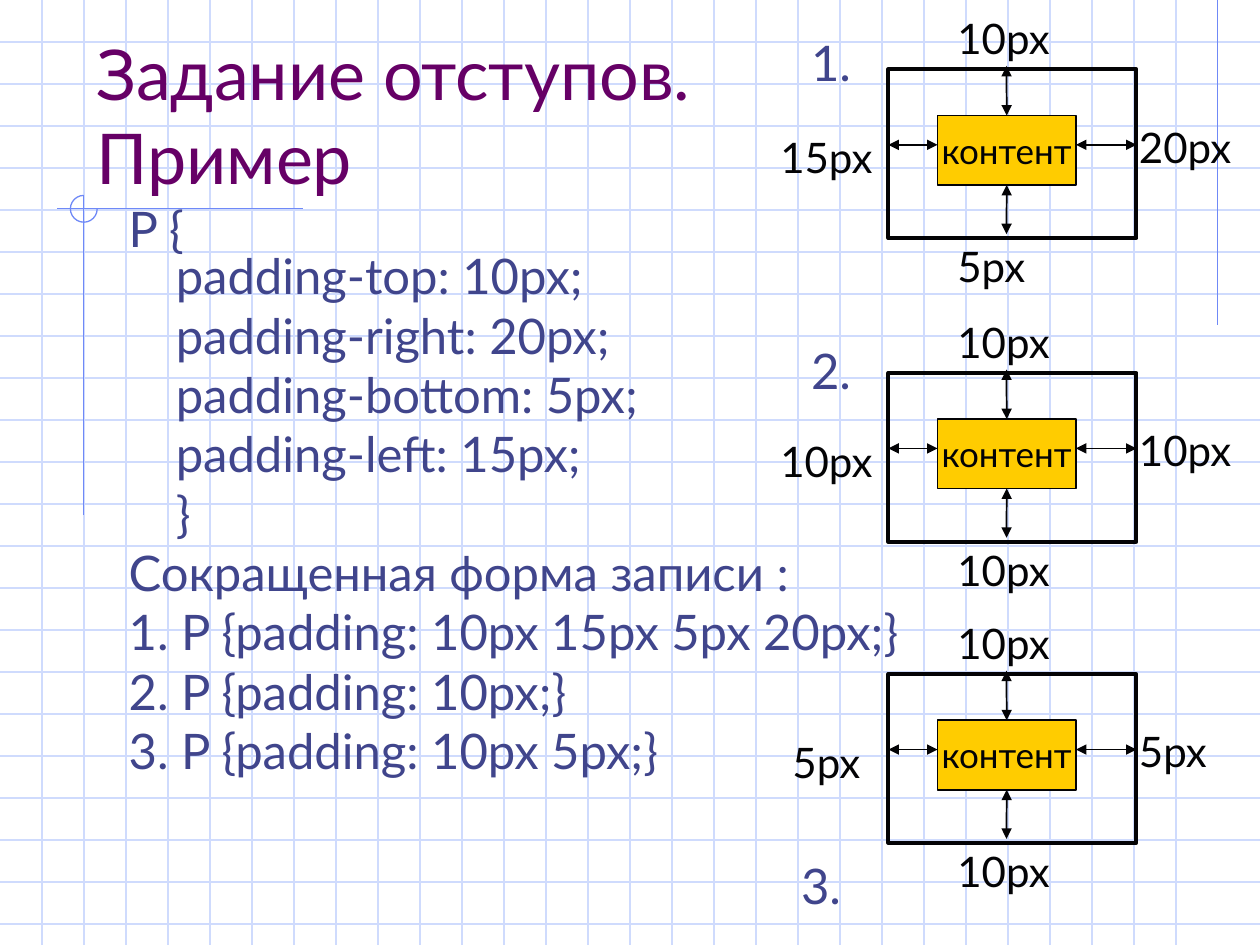
from dataclasses import dataclass

from lxml.etree import SubElement
from pptx import Presentation
from pptx.dml.color import RGBColor
from pptx.enum.shapes import MSO_CONNECTOR, MSO_SHAPE
from pptx.enum.text import MSO_ANCHOR, MSO_AUTO_SIZE, PP_ALIGN
from pptx.oxml.ns import qn
from pptx.util import Cm, Pt


@dataclass(frozen=True)
class Theme:
    """Colours, font and type sizes of the slide."""
    font: str = "Lato"
    grid: str = "CFDBFD"
    accent: str = "6F89F7"
    title: str = "660066"
    body: str = "40458C"
    ink: str = "030305"
    content: str = "FFCC00"
    title_size: int = 40
    body_size: int = 28
    label_size: int = 24
    content_size: int = 20


THEME = Theme()
WIDTH, HEIGHT, STEP = 25.4, 19.05, 2.54 / 3
CODE = [
    "P {\vpadding-top: 10px;",
    "\tpadding-right: 20px;",
    "\tpadding-bottom: 5px;",
    "\tpadding-left: 15px;",
    "\t}",
    "Сокращенная форма записи :",
    "1. P {padding: 10px 15px 5px 20px;}",
    "2. P {padding: 10px;}",
    "3. P {padding: 10px 5px;}",
]
BOXES = [
    (1.4, ("10px", "20px", "5px", "15px")),
    (7.52, ("10px", "10px", "10px", "10px")),
    (13.59, ("10px", "5px", "10px", "5px")),
]
NUMBERS = [("1.", 16.1, 0.53), ("2.", 16.1, 6.73), ("3.", 15.9, 17.12)]
LABEL_SPOTS = [
    (19.05, -1.27, PP_ALIGN.LEFT),
    (22.71, 0.92, PP_ALIGN.LEFT),
    (19.05, 3.33, PP_ALIGN.LEFT),
    (15.36, 1.13, PP_ALIGN.CENTER),
]


def add_text(p, text, size, color, **fmt):
    """Fill a paragraph and format it and its runs."""
    p.text = text
    for name, value in fmt.items():
        setattr(p, name, value)
    for r in p.runs:
        r.font.name, r.font.size = THEME.font, Pt(size)
        r.font.color.rgb = RGBColor.from_string(color)


def set_line(sp, color, width):
    """Give a shape or connector a plain solid line."""
    sp.line.color.rgb = RGBColor.from_string(color)
    sp.line.width = Pt(width)


def add_line(s, x1, y1, x2, y2, color, width=0.75, arrows=False):
    """Draw a straight line, with arrowheads at both ends if asked."""
    ends = (Cm(v) for v in (x1, y1, x2, y2))
    c = s.shapes.add_connector(MSO_CONNECTOR.STRAIGHT, *ends)
    set_line(c, color, width)
    spPr = c._element.spPr
    if arrows:
        for tag in ("a:headEnd", "a:tailEnd"):
            SubElement(spPr.find(qn("a:ln")), qn(tag), type="triangle")
    SubElement(spPr, qn("a:effectLst"))
    return c


def add_shape(s, kind, x, y, w, h, color, width, fill=None):
    """Draw a preset shape without shadow."""
    sp = s.shapes.add_shape(kind, Cm(x), Cm(y), Cm(w), Cm(h))
    sp.shadow.inherit = False
    set_line(sp, color, width)
    if fill:
        sp.fill.solid()
        sp.fill.fore_color.rgb = RGBColor.from_string(fill)
    else:
        sp.fill.background()
    return sp


def add_label(s, text, x, y, size, color, align=PP_ALIGN.LEFT):
    """Place a one-line text box."""
    tf = s.shapes.add_textbox(Cm(x), Cm(y), Cm(2.6), Cm(1.27)).text_frame
    tf.word_wrap = True
    add_text(tf.paragraphs[0], text, size, color, alignment=align)


def add_backdrop(s):
    """Draw the squared paper and its accent lines."""
    for i in range(1, int(HEIGHT / STEP) + 1):
        add_line(s, 0, i * STEP, WIDTH, i * STEP, THEME.grid)
    for i in range(1, int(WIDTH / STEP)):
        add_line(s, i * STEP, 0, i * STEP, HEIGHT, THEME.grid)
    for ends in ((24.55, 0, 24.55, 6.56), (6.1, 4.21, 1.14, 4.21), (1.69, 3.94, 1.69, 10.39)):
        add_line(s, *ends, THEME.accent)
    arc = add_shape(s, MSO_SHAPE.ARC, 1.42, 3.94, 0.54, 0.54, THEME.accent, 0.75)
    arc.adjustments[0], arc.adjustments[1] = 0, 162


def place(s, sp, x, y, w, h, anchor):
    """Move a placeholder, bring it in front and return its text frame."""
    sp.left, sp.top, sp.width, sp.height = Cm(x), Cm(y), Cm(w), Cm(h)
    s.shapes._spTree.append(sp._element)
    tf = sp.text_frame
    for name, value in {
        "word_wrap": True, "auto_size": MSO_AUTO_SIZE.NONE, "vertical_anchor": anchor,
    }.items():
        setattr(tf, name, value)
    return tf


def add_title(s):
    """Write the slide title."""
    tf = place(s, s.shapes.title, 1.69, 0.94, 21.6, 3.18, MSO_ANCHOR.BOTTOM)
    add_text(tf.paragraphs[0], "Задание отступов. \vПример", THEME.title_size,
             THEME.title, alignment=PP_ALIGN.LEFT)


def add_code(s):
    """Write the style rules in the body."""
    tf = place(s, s.placeholders[1], 2.34, 4.11, 16.4, 14.94, MSO_ANCHOR.TOP)
    for i, text in enumerate(CODE):
        p = tf.paragraphs[0] if i == 0 else tf.add_paragraph()
        pPr = p._p.get_or_add_pPr()
        pPr.set("marL", str(Cm(0.95)))
        pPr.set("indent", str(-Cm(0.95)))
        SubElement(pPr, qn("a:buNone"))
        add_text(p, text, THEME.body_size, THEME.body, line_spacing=0.8,
                 space_before=Pt(7 if i else 0))


def add_padding_box(s, y, labels):
    """Draw a frame with its content box, four arrows and four labels."""
    add_shape(s, MSO_SHAPE.RECTANGLE, 17.91, y, 5, 3.4, THEME.ink, 2.25)
    for text, (x, dy, align) in zip(labels, LABEL_SPOTS):
        add_label(s, text, x, y + dy, THEME.label_size, THEME.ink, align)
    box = add_shape(s, MSO_SHAPE.RECTANGLE, 18.9, y + 0.93, 2.79, 1.4,
                    THEME.ink, 1, THEME.content)
    box.text_frame.word_wrap = False
    add_text(box.text_frame.paragraphs[0], "контент", THEME.content_size,
             THEME.ink, alignment=PP_ALIGN.CENTER)
    for x1, x2 in ((17.91, 18.9), (21.69, 22.91)):
        add_line(s, x1, y + 1.52, x2, y + 1.52, THEME.ink, 1, True)
    for site, near, far in ((0, 0.93, -0.07), (2, 2.33, 3.32)):
        c = add_line(s, 20.29, y + near, 20.29, y + far, THEME.ink, 1, True)
        c.begin_connect(box, site)


def main():
    """Build and save the slide."""
    prs = Presentation()
    prs.slide_width, prs.slide_height = Cm(WIDTH), Cm(HEIGHT)
    s = prs.slides.add_slide(prs.slide_layouts[1])
    add_backdrop(s)
    add_title(s)
    add_code(s)
    for y, labels in BOXES:
        add_padding_box(s, y, labels)
    for text, x, y in NUMBERS:
        add_label(s, text, x, y, THEME.body_size, THEME.body)
    prs.save("out.pptx")


if __name__ == "__main__":
    main()
